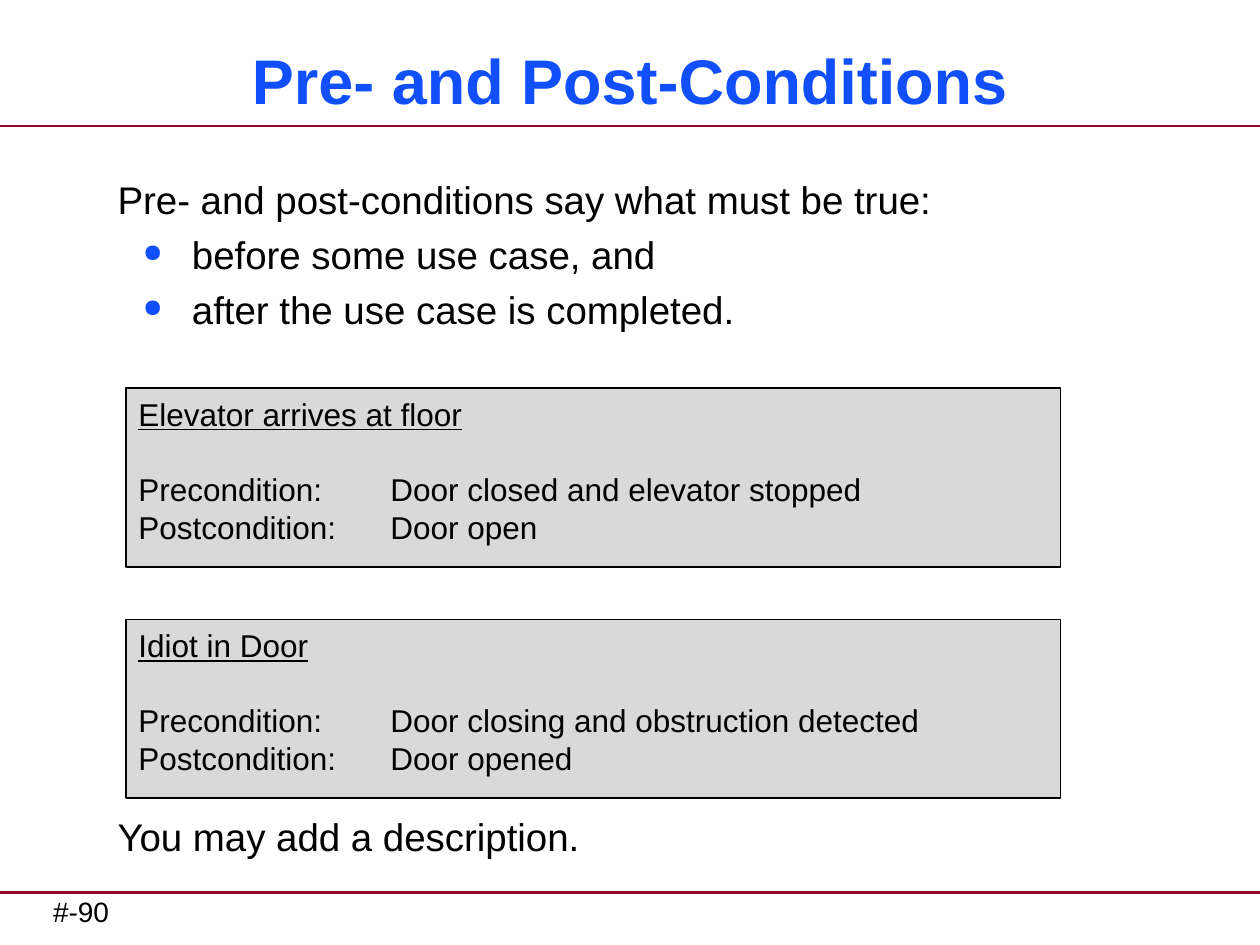
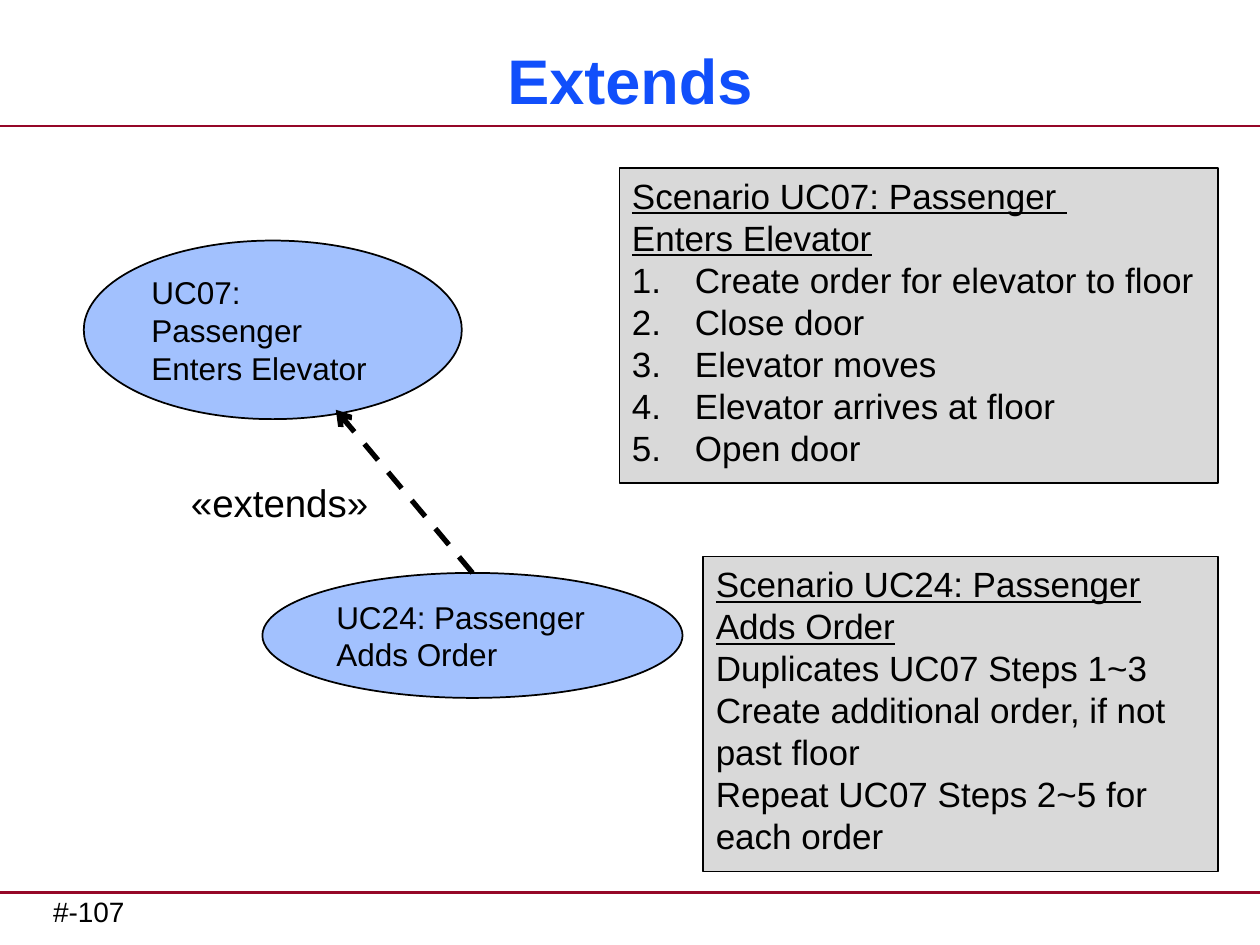
from dataclasses import dataclass

from lxml import etree
from pptx import Presentation
from pptx import util as u
from pptx.dml.color import RGBColor
from pptx.enum import dml, shapes, text
from pptx.oxml.ns import qn

FONT = "Arial"
BLACK, BLUE, RED, PALE = "000000", "114FFB", "950728", "A2C1FE"
WIDTH, HEIGHT = 25.4, 19.05
RULES = (2.54, 17.99)


@dataclass
class Area:
    left: float
    top: float
    width: float
    height: float

    def cm(self) -> list:
        return [u.Cm(n) for n in (self.left, self.top, self.width, self.height)]


@dataclass
class Para:
    words: str
    under: bool = False
    before: float = 0
    after: float = 0
    mark: str = ""  # "dot" or "num"
    tab: float = 0


@dataclass
class Panel:
    area: Area
    size: float
    paras: list


@dataclass
class Case:
    area: Area
    name: str


def paint(code: str) -> RGBColor:
    return RGBColor.from_string(code)


def sub(node, tag: str, **attrs):
    return etree.SubElement(node, qn(tag), {k: str(v) for k, v in attrs.items()})


def mark_up(par, item: Para) -> None:
    """Add bullet, number and tab stop to a paragraph."""
    props = par._p.get_or_add_pPr()
    if item.mark:
        left, hang = (1.5, 0.99) if item.mark == "dot" else (1.27, 1.27)
        props.set("marL", str(u.Cm(left)))
        props.set("indent", str(-u.Cm(hang)))
    if item.mark == "dot":
        sub(sub(props, "a:buClr"), "a:srgbClr", val=BLUE)
        sub(props, "a:buSzPct", val=65000)
        sub(props, "a:buChar", char="●")
    elif item.mark == "num":
        sub(props, "a:buFont", typeface="+mj-lt")
        sub(props, "a:buAutoNum", type="arabicPeriod")
    if item.tab:
        sub(sub(props, "a:tabLst"), "a:tab", pos=u.Cm(item.tab), algn="l")


def write(frame, paras: list, *, size: float, color: str = BLACK,
          bold: bool = False, align=text.PP_ALIGN.LEFT,
          anchor=text.MSO_ANCHOR.TOP, wrap: bool = True,
          side: float = 0.25) -> None:
    frame.word_wrap = wrap
    frame.vertical_anchor = anchor
    frame.margin_left = frame.margin_right = u.Cm(side)
    for i, item in enumerate(paras):
        par = frame.add_paragraph() if i else frame.paragraphs[0]
        par.text = item.words
        par.alignment = align
        par.space_before = u.Pt(item.before)
        par.space_after = u.Pt(item.after)
        mark_up(par, item)
        for run in par.runs:
            font = run.font
            font.name, font.size, font.bold = FONT, u.Pt(size), bold
            font.underline = item.under
            font.color.rgb = paint(color)


def label(slide, area: Area, paras: list, **form) -> None:
    write(slide.shapes.add_textbox(*area.cm()).text_frame, paras, **form)


def block(slide, kind, area: Area, fill: str):
    shape = slide.shapes.add_shape(kind, *area.cm())
    shape.shadow.inherit = False
    shape.fill.solid()
    shape.fill.fore_color.rgb = paint(fill)
    shape.line.color.rgb = paint(BLACK)
    shape.line.width = u.Pt(1)
    return shape


def panel(slide, item: Panel) -> None:
    shape = block(slide, shapes.MSO_SHAPE.RECTANGLE, item.area, BLACK)
    tint = shape._element.spPr.find(qn("a:solidFill"))[0]
    sub(tint, "a:alpha", val=15000)
    write(shape.text_frame, item.paras, size=item.size)


def oval(slide, item: Case):
    shape = block(slide, shapes.MSO_SHAPE.OVAL, item.area, PALE)
    write(shape.text_frame, [Para(item.name)], size=18,
          anchor=text.MSO_ANCHOR.MIDDLE)
    return shape


def line(slide, start: tuple, end: tuple, color: str, width: float):
    link = slide.shapes.add_connector(
        shapes.MSO_CONNECTOR.STRAIGHT, *[u.Cm(n) for n in start + end])
    link.line.color.rgb = paint(color)
    link.line.width = u.Pt(width)
    sub(link._element.spPr, "a:effectLst")
    return link


def page(deck, title: str, number: str):
    """Blank slide with the shared rules, footer and title."""
    slide = deck.slides.add_slide(deck.slide_layouts[6])
    for y in RULES:
        line(slide, (0, y), (WIDTH, y), RED, 1.5)
    label(slide, Area(1.07, 17.91, 12.27, 0.94), [Para(number)], size=16, side=0)
    label(slide, Area(0.42, 0.64, 24.56, 1.9), [Para(title)], size=36,
          color=BLUE, bold=True, align=text.PP_ALIGN.CENTER,
          anchor=text.MSO_ANCHOR.MIDDLE)
    return slide


def terms(deck) -> None:
    slide = page(deck, "Pre- and Post-Conditions", "#-90")
    label(slide, Area(2.12, 3.43, 22.43, 4.2), [
        Para("Pre- and post-conditions say what must be true:"),
        Para("before some use case, and", before=5, mark="dot"),
        Para("after the use case is completed.", before=5, mark="dot"),
    ], size=22)
    label(slide, Area(2.12, 16.26, 22.43, 1.2),
          [Para("You may add a description.")], size=22)

    # One panel per use case, stacked at an equal step
    cases = (
        ("Elevator arrives at floor", "Door closed and elevator stopped", "Door open"),
        ("Idiot in Door", "Door closing and obstruction detected", "Door opened"),
    )
    for i, (name, pre, post) in enumerate(cases):
        panel(slide, Panel(Area(2.54, 7.83 + i * 4.66, 18.84, 3.6), 18, [
            Para(name, under=True, after=21.5),
            Para(f"Precondition:\t{pre}", tab=5.08),
            Para(f"Postcondition:\t{post}", tab=5.08),
        ]))


def extends(deck) -> None:
    slide = page(deck, "Extends", "#-107")

    # Use cases and their relation
    oval(slide, Case(Area(1.69, 4.85, 7.62, 3.6), "UC07: Passenger Enters Elevator"))
    extra = oval(slide, Case(Area(5.29, 11.55, 8.47, 2.52),
                             "UC24: Passenger Adds Order"))
    link = line(slide, (9.52, 11.55), (6.77, 8.26), BLACK, 3)
    link.begin_connect(extra, 0)
    link.line.dash_style = dml.MSO_LINE.DASH
    sub(link.line._get_or_add_ln(), "a:tailEnd", type="arrow")
    label(slide, Area(3.6, 9.53, 4.14, 1.19), [Para("«extends»")],
          size=22, wrap=False)

    # Scenarios
    steps = ("Create order for elevator to floor", "Close door", "Elevator moves",
             "Elevator arrives at floor", "Open door")
    notes = ("Duplicates UC07 Steps 1~3", "Create additional order, if not past floor",
             "Repeat UC07 Steps 2~5 for each order")
    panel(slide, Panel(Area(12.49, 3.39, 12.07, 6.35), 20, [
        Para("Scenario UC07: Passenger \vEnters Elevator", under=True),
        *[Para(step, mark="num") for step in steps]]))
    panel(slide, Panel(Area(14.18, 11.22, 10.38, 6.35), 20, [
        Para("Scenario UC24: Passenger Adds Order", under=True),
        *[Para(note) for note in notes]]))


def main() -> None:
    deck = Presentation()
    deck.slide_width, deck.slide_height = u.Cm(WIDTH), u.Cm(HEIGHT)
    terms(deck)
    extends(deck)
    deck.save("out.pptx")


if __name__ == "__main__":
    main()
